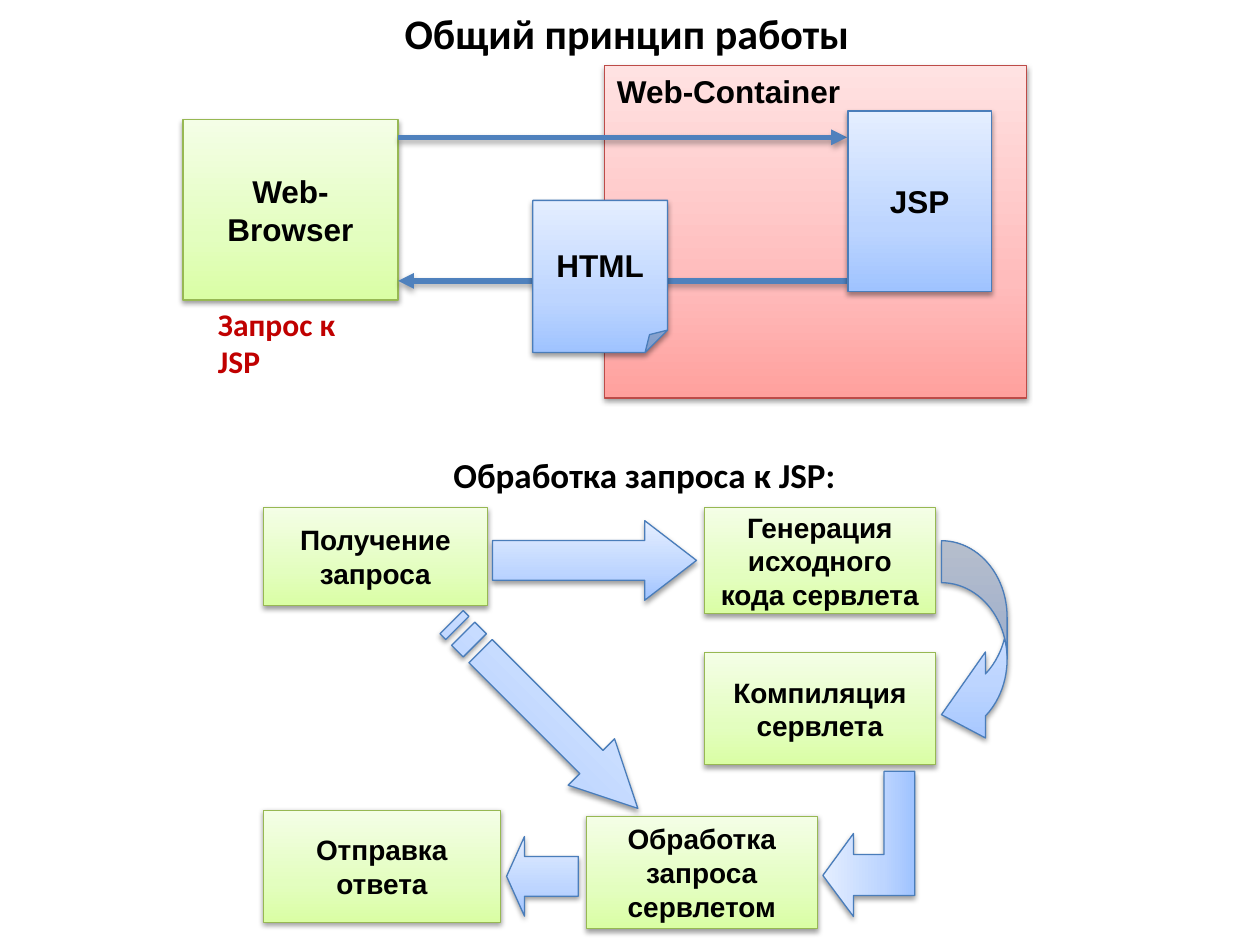
from pptx import Presentation
from pptx.dml.color import RGBColor
from pptx.enum.shapes import MSO_CONNECTOR, MSO_SHAPE
from pptx.enum.text import MSO_ANCHOR, MSO_AUTO_SIZE, PP_ALIGN
from pptx.oxml import parse_xml
from pptx.oxml.ns import nsdecls, qn
from pptx.util import Pt

RECTANGLE, FOLDED = MSO_SHAPE.RECTANGLE, MSO_SHAPE.FOLDED_CORNER
RIGHT_ARROW, LEFT_ARROW = MSO_SHAPE.RIGHT_ARROW, MSO_SHAPE.LEFT_ARROW
CURVED_ARROW = MSO_SHAPE.CURVED_LEFT_ARROW
STRAIGHT = MSO_CONNECTOR.STRAIGHT
TOP, MIDDLE = MSO_ANCHOR.TOP, MSO_ANCHOR.MIDDLE
LEFT, CENTER = PP_ALIGN.LEFT, PP_ALIGN.CENTER
GROW = MSO_AUTO_SIZE.SHAPE_TO_FIT_TEXT

BLACK = RGBColor(0, 0, 0)
DARK_RED = RGBColor(0xC0, 0, 0)
FLOW_BLUE = RGBColor(0x4F, 0x81, 0xBD)


def palette(line, *stops):
    return RGBColor.from_string(line), [RGBColor.from_string(stop) for stop in stops]


# Outline, then gradient from bottom to top
GREEN = palette("97B853", "DAFEA4", "E3FEBF", "F4FEE6")
RED = palette("BD4B48", "FFA09D", "FFBCBC", "FFE2E2")
BLUE = palette("4A7DBA", "9FC3FF", "BDD5FF", "E4EEFF")
STOP_POSITIONS = (0, 35000, 100000)


class Diagram:
    """Style and drawing methods for the current slide."""

    def __init__(self, slide):
        self.slide = slide
        self.shapes = slide.shapes

    def start_group(self):
        self.shapes = self.slide.shapes.add_group_shape().shapes

    def shadow(self, shape, distance=1.6, alpha=38):
        shape._element.spPr.append(parse_xml(
            f'<a:effectLst {nsdecls("a")}><a:outerShdw blurRad="{Pt(3.1)}" '
            f'dist="{Pt(distance)}" dir="5400000" rotWithShape="0">'
            f'<a:srgbClr val="000000"><a:alpha val="{alpha * 1000}"/></a:srgbClr>'
            '</a:outerShdw></a:effectLst>'))

    def paint(self, shape, colours):
        outline, stops = colours
        shape.fill.gradient()
        shape.fill.gradient_angle = 90
        stop_list = shape._element.spPr.find(".//" + qn("a:gsLst"))
        stop_list.clear()
        for position, colour in zip(STOP_POSITIONS, stops):
            stop_list.append(parse_xml(
                f'<a:gs {nsdecls("a")} pos="{position}"><a:srgbClr val="{colour}"/></a:gs>'))
        shape.line.color.rgb = outline
        shape.line.width = Pt(0.75)
        self.shadow(shape)

    def set_text(self, shape, lines, size, font="Arial", colour=BLACK,
                 align=LEFT, anchor=TOP, **frame_format):
        frame = shape.text_frame
        frame.text = "\n".join(lines)
        frame_format.update(word_wrap=True, vertical_anchor=anchor)
        for name, value in frame_format.items():
            setattr(frame, name, value)
        font_format = {"name": font, "size": Pt(size), "bold": True}
        for paragraph in frame.paragraphs:
            paragraph.alignment = align
            for run in paragraph.runs:
                for name, value in font_format.items():
                    setattr(run.font, name, value)
                run.font.color.rgb = colour

    def preset(self, kind, bounds, colours, adjustments=()):
        shape = self.shapes.add_shape(kind, *map(Pt, bounds))
        for index, value in enumerate(adjustments):
            shape.adjustments[index] = value
        self.paint(shape, colours)
        return shape

    def box(self, bounds, lines, colours=GREEN, size=18, kind=RECTANGLE,
            align=CENTER, anchor=MIDDLE):
        shape = self.preset(kind, bounds, colours)
        self.set_text(shape, lines, size, align=align, anchor=anchor)

    def outline_arrow(self, left, top, contours, rotation):
        builder = None
        for contour in contours:
            start, *rest = [(Pt(x), Pt(y)) for x, y in contour]
            if builder is None:
                builder = self.shapes.build_freeform(*start)
            else:
                builder.move_to(*start)
            builder.add_line_segments(rest, close=True)
        shape = builder.convert_to_shape(Pt(left), Pt(top))
        shape.rotation = rotation
        self.paint(shape, BLUE)

    def flow(self, start_x, end_x, y):
        connector = self.shapes.add_connector(STRAIGHT, *map(Pt, (start_x, y, end_x, y)))
        connector.line.color.rgb = FLOW_BLUE
        connector.line.width = Pt(3)
        connector.line._get_or_add_ln().append(
            parse_xml(f'<a:tailEnd {nsdecls("a")} type="triangle"/>'))
        self.shadow(connector, 1.8, 35)

    def label(self, bounds, text, size, colour=BLACK):
        shape = self.shapes.add_textbox(*map(Pt, bounds))
        self.set_text(shape, [text], size, "Calibri", colour, auto_size=GROW)

    def title(self, bounds, text):
        shape = self.slide.shapes.title
        for name, value in zip(("left", "top", "width", "height"), bounds):
            setattr(shape, name, Pt(value))
        self.set_text(shape, [text], 24, "Calibri", auto_size=GROW)


presentation = Presentation()
presentation.slide_width, presentation.slide_height = Pt(720), Pt(540)
diagram = Diagram(presentation.slides.add_slide(presentation.slide_layouts[5]))

# Headings
diagram.title((224, 0.5, 271.5, 36.5), "Общий принцип работы")
diagram.label((252, 255.5, 234.5, 31.5), "Обработка запроса к JSP:", 20)

# Browser and container
diagram.start_group()
diagram.box((104.5, 68.5, 123, 103), ["Web-Browser"])
diagram.box((345.5, 37.5, 241, 190), ["Web-Container"], RED, align=LEFT, anchor=TOP)
diagram.flow(227.5, 484, 78.5)
diagram.flow(484.5, 227.5, 160.5)
diagram.box((484.5, 63.5, 82, 103), ["JSP"], BLUE)
diagram.box((304.5, 114.5, 77, 87), ["HTML"], BLUE, kind=FOLDED)
diagram.label((117.5, 170.5, 100, 26.5), "Запрос к JSP", 18, DARK_RED)

# Request processing steps
diagram.start_group()
STEPS = [
    ((150.5, 290, 128, 56), ["Получение", "запроса"]),
    ((402.5, 290, 132, 60.5), ["Генерация", "исходного", "кода сервлета"]),
    ((402.5, 373, 132, 64), ["Компиляция", "сервлета"]),
    ((335, 466.5, 132, 64), ["Обработка", "запроса", "сервлетом"]),
    ((150.5, 463, 135.5, 64), ["Отправка", "ответа"]),
]
for bounds, lines in STEPS:
    diagram.box(bounds, lines, size=16)

# Arrows between steps
diagram.preset(RIGHT_ARROW, (281.5, 297.5, 116.5, 45.5), BLUE, (0.5, 0.65))
diagram.preset(CURVED_ARROW, (538, 309, 37.5, 124), BLUE, (0.64, 1.31, 0.67))
diagram.outline_arrow(455, 456, [
    [(23.5, 0), (47.5, 17.5), (35.5, 17.5), (35.5, 35), (83, 35),
     (83, 52.5), (12, 52.5), (12, 17.5), (0, 17.5)],
], 270)
diagram.preset(LEFT_ARROW, (289.5, 478, 41, 45.5), BLUE, (0.5, 0.25))

# Striped arrow: two stripes behind a shaft with a head
LENGTH, HEIGHT = 150.5, 37.5
UPPER, LOWER, NECK = HEIGHT / 4, HEIGHT * 3 / 4, LENGTH - HEIGHT
shaft = [(HEIGHT * 5 / 8, UPPER), (NECK, UPPER), (NECK, 0), (LENGTH, HEIGHT / 2),
         (NECK, HEIGHT), (NECK, LOWER), (HEIGHT * 5 / 8, LOWER)]
stripes = [[(x1, UPPER), (x2, UPPER), (x2, LOWER), (x1, LOWER)]
           for x1, x2 in ((0, HEIGHT / 8), (HEIGHT / 4, HEIGHT / 2))]
diagram.outline_arrow(236, 390, [shaft, *stripes], 45)

presentation.save("out.pptx")
